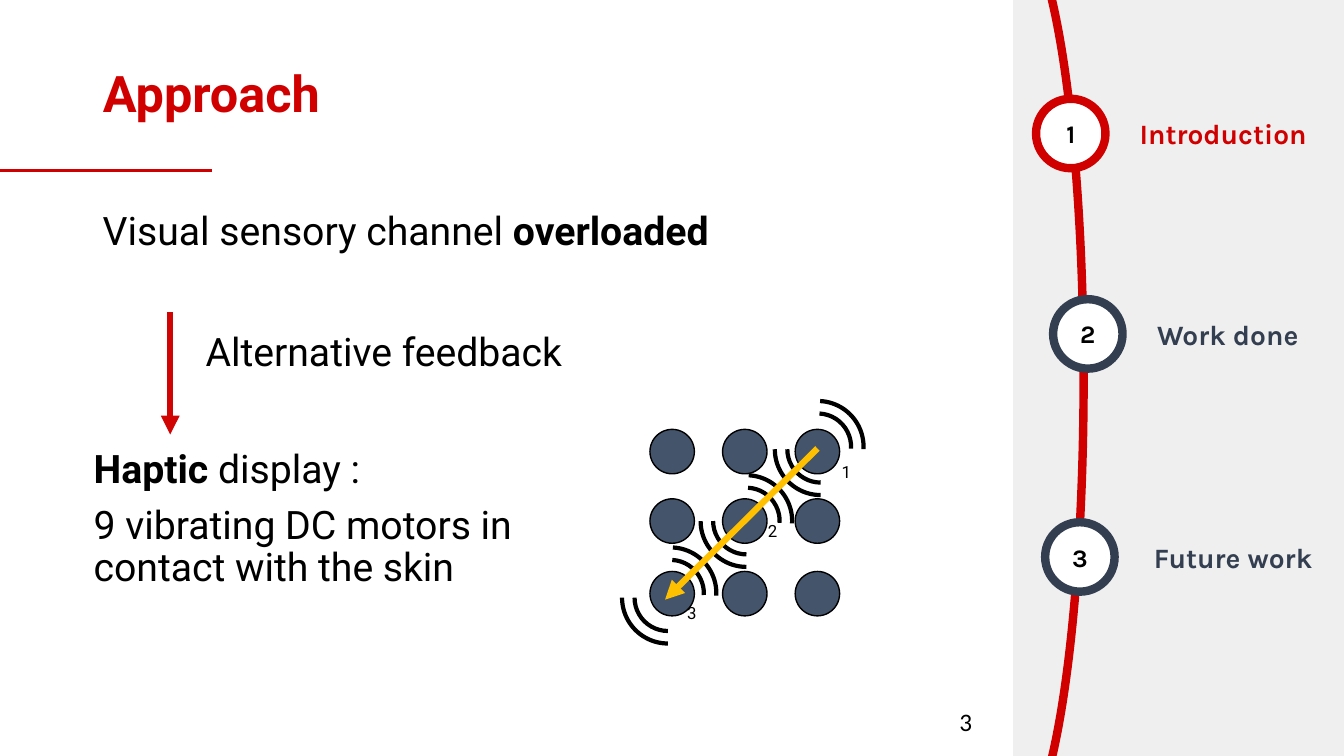
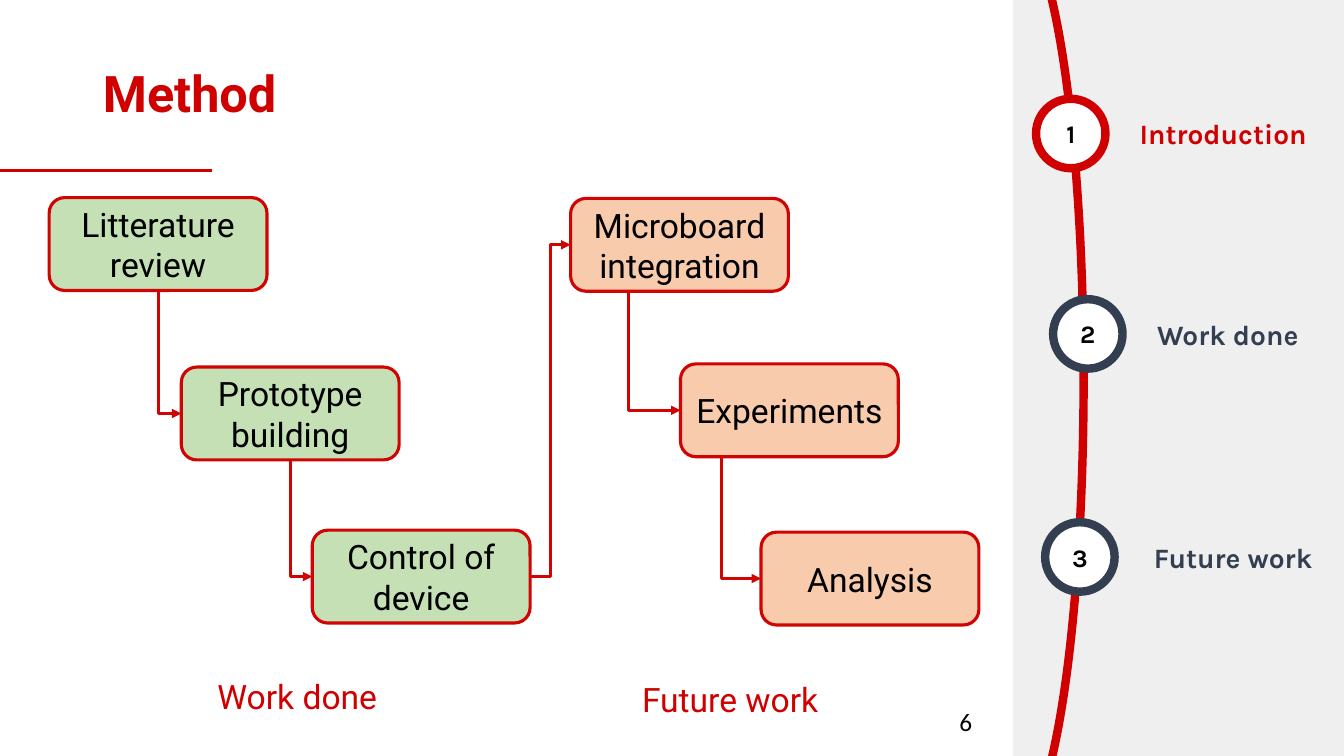
from lxml import etree
from pptx import Presentation
from pptx.dml.color import RGBColor
from pptx.enum.shapes import MSO_CONNECTOR, MSO_SHAPE
from pptx.enum.text import MSO_ANCHOR, MSO_AUTO_SIZE, PP_ALIGN
from pptx.oxml.ns import qn
from pptx.util import Cm, Pt

STRAIGHT, ELBOW = MSO_CONNECTOR.STRAIGHT, MSO_CONNECTOR.ELBOW
ARC, OVAL = MSO_SHAPE.ARC, MSO_SHAPE.OVAL
RECTANGLE, ROUNDED = MSO_SHAPE.RECTANGLE, MSO_SHAPE.ROUNDED_RECTANGLE
LEFT, CENTER = PP_ALIGN.LEFT, PP_ALIGN.CENTER
TOP, MIDDLE = MSO_ANCHOR.TOP, MSO_ANCHOR.MIDDLE

RED, ARROW_RED, NAVY = "D00000", "D10404", "333F50"
BLACK, WHITE, GREY = "000000", "FFFFFF", "EFEFEF"
GREEN, ORANGE, YELLOW, SLATE = "C5E0B4", "F8CBAD", "FFC000", "44546A"

# number, circle left, circle top, label left, label, colour
SECTIONS = [
    ("2", 26.54, 7.54, 28.91, "Work done", NAVY),
    ("3", 26.34, 13.16, 28.83, "Future work", NAVY),
    ("1", 26.11, 2.49, 28.47, "Introduction", RED),
]


def color(hex_value):
    return RGBColor.from_string(hex_value)


def write(shape, text, size=28, font="Roboto", ink=BLACK, bold=False,
          align=LEFT, anchor=TOP, spacing=1.0, before=0):
    """Fill a shape with one paragraph per line; **marks** set words in bold."""
    frame = shape.text_frame
    frame.word_wrap = True
    frame.auto_size = MSO_AUTO_SIZE.NONE
    frame.vertical_anchor = anchor
    for index, line in enumerate(text.split("\n")):
        paragraph = frame.add_paragraph() if index else frame.paragraphs[0]
        paragraph.alignment = align
        paragraph.line_spacing = spacing
        paragraph.space_before = Pt(before if index else 0)
        for position, part in enumerate(line.split("**")):
            if part:
                run = paragraph.add_run()
                run.text = part
                run.font.name = font
                run.font.size = Pt(size)
                run.font.bold = bold or position % 2 == 1
                run.font.color.rgb = color(ink)


presentation = Presentation()
presentation.slide_width, presentation.slide_height = Cm(33.87), Cm(19.05)
title_only = presentation.slide_layouts[5]

# Shared frame: title, rule, section timeline and page number
slides = []
for title_text, page in [("Approach", "3"), ("Method", "6")]:
    slide = presentation.slides.add_slide(title_only)
    slides.append(slide)
    title = slide.shapes.title
    title.left, title.top, title.width, title.height = Cm(2.34), Cm(0.58), Cm(29.21), Cm(3.68)
    write(title, title_text, size=36, ink=RED, bold=True, anchor=MIDDLE, spacing=0.9)

    rule = slide.shapes.add_connector(STRAIGHT, Cm(0), Cm(4.29), Cm(5.33), Cm(4.29))
    rule.line.color.rgb = color(RED)
    rule.line.width = Pt(2.25)

    panel = slide.shapes.add_shape(RECTANGLE, Cm(25.53), Cm(0), Cm(8.34), Cm(19.05))
    panel.fill.solid()
    panel.fill.fore_color.rgb = color(GREY)
    panel.line.fill.background()

    timeline = slide.shapes.add_shape(ARC, Cm(23.75), Cm(-1.9), Cm(3.56), Cm(22.89))
    timeline.adjustments[0], timeline.adjustments[1] = 162.11, 54.19
    timeline.fill.background()
    timeline.line.color.rgb = color(RED)
    timeline.line.width = Pt(6)

    for number, left, top, label_left, label, ink in SECTIONS:
        circle = slide.shapes.add_shape(OVAL, Cm(left), Cm(top), Cm(1.75), Cm(1.75))
        circle.fill.solid()
        circle.fill.fore_color.rgb = color(WHITE)
        circle.line.color.rgb = color(ink)
        circle.line.width = Pt(6)
        write(circle, number, size=18, font="Karla", bold=True, align=CENTER, anchor=MIDDLE)
        label_box = slide.shapes.add_textbox(Cm(label_left), Cm(top + 0.33), Cm(5.11), Cm(1.12))
        write(label_box, label, size=20, font="Karla", ink=ink, bold=True)

    page_box = slide.shapes.add_textbox(Cm(23.93), Cm(17.68), Cm(1.5), Cm(1.02))
    write(page_box, page, size=18, font="Calibri")

approach, method = slides
arrows = []  # connector, colour, width in points

# Approach: statements
for left, top, width, height, text in [
    (2.34, 5.21, 23.19, 2.34, "Visual sensory channel **overloaded**"),
    (4.93, 8.26, 15, 2.34, "Alternative feedback"),
    (2.11, 11.2, 12.22, 4.55,
     "**Haptic** display :\n9 vibrating DC motors in contact with the skin"),
]:
    box = approach.shapes.add_textbox(Cm(left), Cm(top), Cm(width), Cm(height))
    write(box, text, spacing=0.9, before=10)

feedback = approach.shapes.add_connector(STRAIGHT, Cm(4.29), Cm(7.87), Cm(4.29), Cm(10.95))
arrows.append((feedback, ARROW_RED, 4.5))

# Approach: vibration waves, each two arcs around one centre
for center_x, center_y, rotation in [
    (20.68, 11.32, 180), (20.61, 11.26, 3),
    (18.81, 13.13, 180), (18.81, 13.13, 3),
    (16.83, 15.06, 180), (16.9, 14.95, 3),
]:
    for diameter in (1.68, 2.31):
        wave = approach.shapes.add_shape(
            ARC, Cm(center_x - diameter / 2), Cm(center_y - diameter / 2),
            Cm(diameter), Cm(diameter))
        wave.rotation = rotation
        wave.fill.background()
        wave.line.color.rgb = color(BLACK)
        wave.line.width = Pt(3)

# Approach: motor grid
for top in (10.82, 12.57, 14.4):
    for column in range(3):
        motor = approach.shapes.add_shape(
            OVAL, Cm(16.38 + 1.83 * column), Cm(top), Cm(1.12), Cm(1.12))
        motor.fill.solid()
        motor.fill.fore_color.rgb = color(SLATE)
        motor.line.color.rgb = color(BLACK)
        motor.line.width = Pt(1)

direction = approach.shapes.add_connector(STRAIGHT, Cm(20.6), Cm(11.3), Cm(16.76), Cm(15.11))
arrows.append((direction, YELLOW, 4.5))

for order, left, top in [("1", 20.96, 11.56), ("2", 19.1, 13.06), ("3", 17.07, 15.11)]:
    order_box = approach.shapes.add_textbox(Cm(left), Cm(top), Cm(1.17), Cm(1.65))
    write(order_box, order, size=12, spacing=0.9)

# Method: two stages of steps; each step drops an elbow arrow to the next
STEP_WIDTH, STEP_HEIGHT = 5.49, 2.34
# fill, heading, heading left, heading top, steps (text, left, top, arrow offset)
STAGES = [
    (GREEN, "Work done", 5.23, 16.38, [
        ("Litterature review", 1.24, 4.98, 2.75),
        ("Prototype building", 4.57, 9.25, 2.75),
        ("Control of device", 7.87, 13.36, None)]),
    (ORANGE, "Future work", 15.93, 16.46, [
        ("Microboard integration", 14.38, 5.0, 1.45),
        ("Experiments", 17.15, 9.17, 1.04),
        ("Analysis", 19.18, 13.41, None)]),
]
for fill, heading, heading_left, heading_top, steps in STAGES:
    for text, left, top, _ in steps:
        step = method.shapes.add_shape(
            ROUNDED, Cm(left), Cm(top), Cm(STEP_WIDTH), Cm(STEP_HEIGHT))
        step.fill.solid()
        step.fill.fore_color.rgb = color(fill)
        step.line.color.rgb = color(ARROW_RED)
        step.line.width = Pt(2.25)
        write(step, text, size=24, align=CENTER, anchor=MIDDLE)

    for (_, left, top, offset), (_, next_left, next_top, _) in zip(steps, steps[1:]):
        start_x, start_y = left + offset, top + STEP_HEIGHT
        across = next_left - start_x
        down = next_top + STEP_HEIGHT / 2 - start_y
        middle_x, middle_y = start_x + across / 2, start_y + down / 2
        # The one-bend preset runs across then down, so it is mirrored and turned
        elbow = method.shapes.add_connector(
            ELBOW, Cm(middle_x + down / 2), Cm(middle_y - across / 2),
            Cm(middle_x - down / 2), Cm(middle_y + across / 2))
        properties = elbow._element.spPr
        properties.find(qn("a:xfrm")).set("rot", str(270 * 60000))
        properties.find(qn("a:prstGeom")).set("prst", "bentConnector2")
        arrows.append((elbow, ARROW_RED, 2.25))

    heading_box = method.shapes.add_textbox(
        Cm(heading_left), Cm(heading_top), Cm(6.15), Cm(2.44))
    write(heading_box, heading, size=24, ink=RED, anchor=MIDDLE, spacing=0.9)

_, last_left, last_top, _ = STAGES[0][4][-1]
_, first_left, first_top, _ = STAGES[1][4][0]
bridge = method.shapes.add_connector(
    ELBOW, Cm(last_left + STEP_WIDTH), Cm(last_top + STEP_HEIGHT / 2),
    Cm(first_left), Cm(first_top + STEP_HEIGHT / 2))
arrows.append((bridge, ARROW_RED, 2.25))

# Arrowheads, then shadows off everywhere
for arrow, ink, width in arrows:
    arrow.line.color.rgb = color(ink)
    arrow.line.width = Pt(width)
    outline = arrow._element.spPr.find(qn("a:ln"))
    etree.SubElement(outline, qn("a:tailEnd"), type="triangle")

for slide in slides:
    for shape in slide.shapes:
        if hasattr(shape, "begin_x"):
            etree.SubElement(shape._element.spPr, qn("a:effectLst"))
        else:
            shape.shadow.inherit = False

presentation.save("out.pptx")
